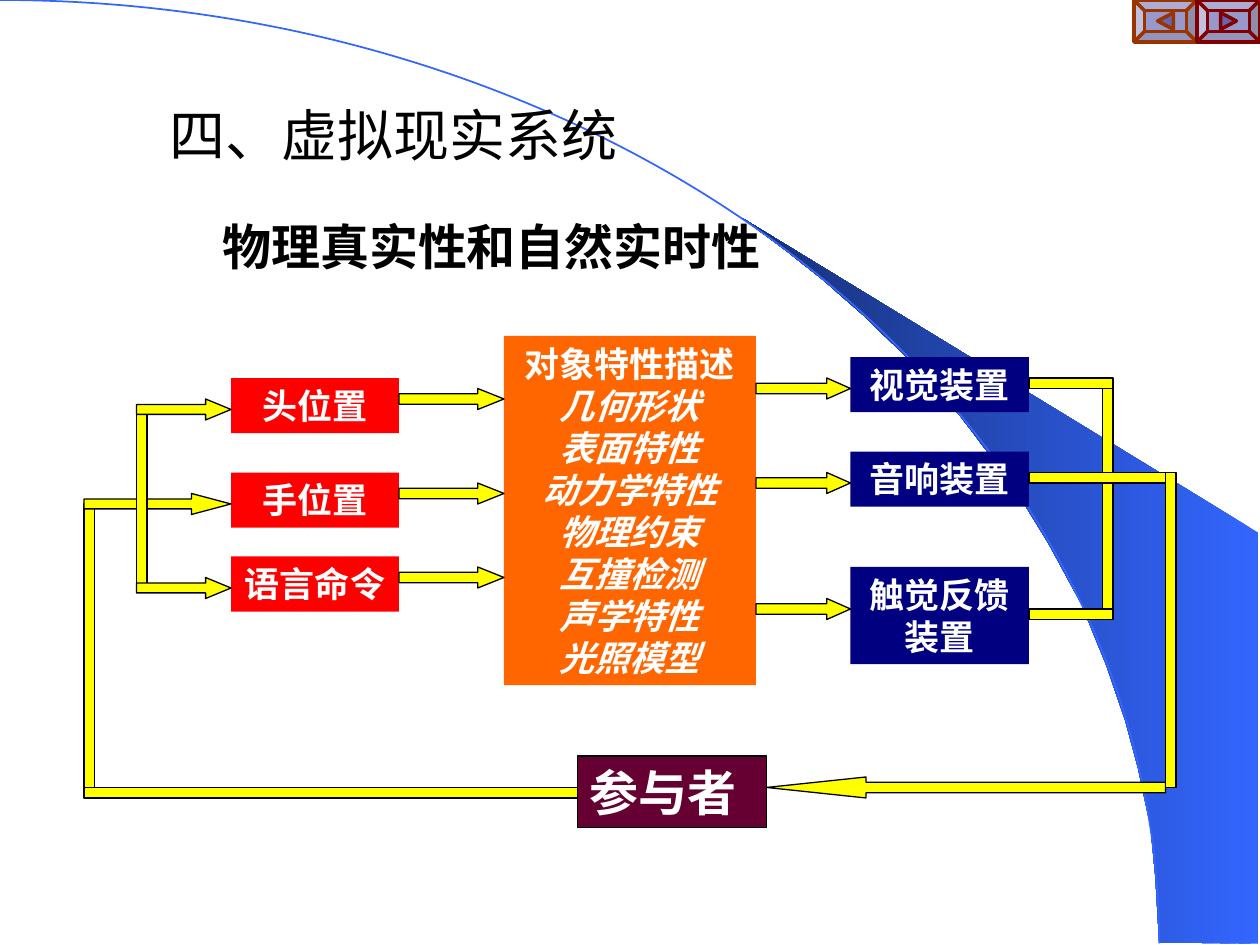
from lxml.etree import SubElement
from pptx import Presentation
from pptx.dml.color import RGBColor
from pptx.enum.shapes import MSO_SHAPE as Preset
from pptx.enum.text import MSO_ANCHOR as Anchor, MSO_AUTO_SIZE as AutoSize, PP_ALIGN as Align
from pptx.oxml.ns import qn
from pptx.util import Pt

FONT = "Times New Roman"
BAR = 6
ARROW = 12


def color(hex_value):
    return RGBColor.from_string(hex_value)


def style(shape, fill=None, line=None, width=0.74, alpha=None):
    shape.shadow.inherit = False
    if fill:
        shape.fill.solid()
        shape.fill.fore_color.rgb = color(fill)
    else:
        shape.fill.background()
    if alpha:
        rgb = shape.element.spPr.find(qn("a:solidFill")).find(qn("a:srgbClr"))
        SubElement(rgb, qn("a:alpha")).set("val", str(alpha * 1000))
    if line:
        shape.line.color.rgb = color(line)
        shape.line.width = Pt(width)
    else:
        shape.line.fill.background()


def add_preset(slide, preset, place, adjustments=(), **look):
    shape = slide.shapes.add_shape(preset, *map(Pt, place))
    for index, value in enumerate(adjustments):
        shape.adjustments[index] = value
    style(shape, **look)
    return shape


def add_outline(slide, points, **look):
    corners = [(Pt(x), Pt(y)) for x, y in points]
    builder = slide.shapes.build_freeform(*corners[0], scale=1.0)
    builder.add_line_segments(corners[1:], close=True)
    shape = builder.convert_to_shape()
    style(shape, **look)
    return shape


def write(shape, lines, size, ink, align, bold=True, wrap=True):
    frame = shape.text_frame
    frame.word_wrap = wrap
    frame.auto_size = AutoSize.SHAPE_TO_FIT_TEXT
    frame.vertical_anchor = Anchor.TOP
    for index, (text, italic) in enumerate(lines):
        paragraph = frame.add_paragraph() if index else frame.paragraphs[0]
        paragraph.alignment = align
        run = paragraph.add_run()
        run.text = text
        font = run.font
        font.name, font.size, font.bold, font.italic = FONT, Pt(size), bold, italic
        font.color.rgb = color(ink)


def add_heading(slide, text, place, size, bold):
    heading = slide.shapes.add_textbox(*map(Pt, place))
    write(heading, [(text, False)], size, "000000", Align.LEFT, bold, wrap=False)


def add_box(slide, lines, place, fill, size=20, align=Align.CENTER, line=None):
    box = add_preset(slide, Preset.RECTANGLE, place, fill=fill, line=line)
    write(box, lines, size, "FFFFFF", align)


def add_pipe(slide, preset, place, adjustments=()):
    add_preset(slide, preset, place, adjustments, fill="FFFF00", line="000000")


def add_bar(slide, left, top, width=BAR, height=BAR):
    add_pipe(slide, Preset.RECTANGLE, (left, top, width, height))


def add_arrow(slide, left, top, width, head, shaft=0.5, preset=Preset.RIGHT_ARROW):
    add_pipe(slide, preset, (left, top, width, ARROW), (shaft, head))


def add_background(slide):
    sweep = [(662.4, 538.56), (719.3, 539.3), (719.3, 304.56), (424.1, 124.56),
             (449.3, 143.3), (470.2, 159.8), (493.2, 180), (515.5, 201.6),
             (548.6, 237.6), (578.2, 276.5), (599, 310.3), (617.8, 344.9),
             (632.2, 380.2), (643, 411.8), (650.2, 438.5), (657.4, 472.3),
             (660.2, 501.1)]
    band = add_outline(slide, sweep)
    band.fill.gradient()
    band.fill.gradient_angle = 180
    for stop, shade in zip(band.fill.gradient_stops, ("3366FF", "172F75")):
        stop.color.rgb = color(shade)
    for stop, position in zip(band.fill.gradient_stops, (0, 1)):
        stop.position = position
    add_preset(slide, Preset.ARC, (-662.4, 0, 1324.8, 1078), line="3366FF", width=0.99)


def add_button(slide, left, line, direction):
    look = dict(fill="333399", alpha=50, line=line, width=2.01)
    add_preset(slide, Preset.BEVEL, (left, 0, 36, 24), (0.25,), **look)
    center = left + 18
    tip, base = center + 4.5 * direction, center - 4.5 * direction
    add_outline(slide, [(tip, 12), (base, 7.25), (base, 16.75)], **look)


def add_boxes(slide):
    for text, top in (("头位置", 216), ("手位置", 270), ("语言命令", 318)):
        add_box(slide, [(text, False)], (132, top, 96, 31.5), "FF0000")
    traits = ["几何形状", "表面特性", "动力学特性", "物理约束",
              "互撞检测", "声学特性", "光照模型"]
    model = [("对象特性描述", False)] + [(trait, True) for trait in traits]
    add_box(slide, model, (288, 192, 144, 199.5), "FF6600")
    for text, top, height in (("视觉装置", 204, 31.5), ("音响装置", 258, 31.5),
                              ("触觉反馈装置", 324, 55.5)):
        add_box(slide, [(text, False)], (486, top, 102, height), "000080")
    add_box(slide, [("参与者", False)], (330, 432, 108, 41), "660033",
            size=28, align=Align.LEFT, line="000000")


def add_flow(slide):
    for top in (222, 276, 324):
        add_arrow(slide, 228, top, 60, 1.25)
    for top in (216, 270, 342):
        add_arrow(slide, 432, top, 54, 1.13)
    add_arrow(slide, 438, 444, 228, 4.74, preset=Preset.LEFT_ARROW)
    add_bar(slide, 48, 288, height=162)
    add_bar(slide, 48, 450, width=282)
    add_arrow(slide, 48, 282, 84, 1.88, shaft=0.47)
    add_bar(slide, 78, 234, height=102)
    for top in (228, 330):
        add_arrow(slide, 78, top, 54, 1.21, shaft=0.47)
    add_bar(slide, 666, 270, height=180)
    add_bar(slide, 630, 222, height=132)
    for top, width in ((270, 78), (348, 48), (216, 48)):
        add_bar(slide, 588, top, width=width)


def main():
    deck = Presentation()
    deck.slide_width, deck.slide_height = Pt(720), Pt(540)
    slide = deck.slides.add_slide(deck.slide_layouts[6])
    add_background(slide)
    add_button(slide, 648, "993300", -1)
    add_button(slide, 684, "800000", 1)
    add_heading(slide, "四、虚拟现实系统", (89.5, 54, 270.5, 46), 32, False)
    add_heading(slide, "物理真实性和自然实时性", (120, 120, 322, 41), 28, True)
    add_boxes(slide)
    add_flow(slide)
    deck.save("out.pptx")


main()
